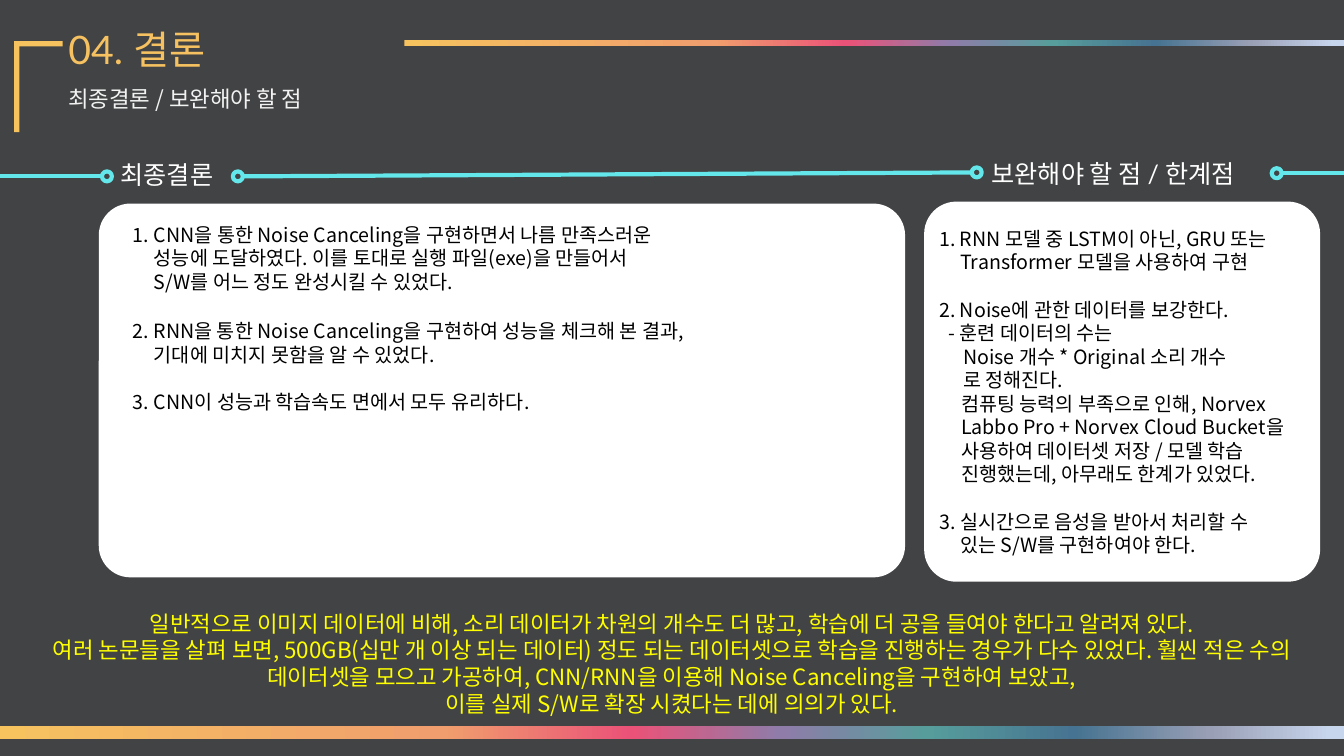
from lxml.etree import SubElement
from pptx import Presentation
from pptx.dml.color import RGBColor
from pptx.enum.shapes import MSO_CONNECTOR, MSO_SHAPE
from pptx.enum.text import MSO_ANCHOR, PP_ALIGN
from pptx.oxml import parse_xml
from pptx.oxml.ns import nsdecls, qn
from pptx.util import Cm, Pt

DARK = RGBColor(0x42, 0x43, 0x44)
GOLD = RGBColor(0xF6, 0xC3, 0x5F)
TITLE_GOLD = RGBColor(0xF6, 0xC1, 0x60)
PALE = RGBColor(0xF2, 0xF2, 0xF2)
WHITE = RGBColor(0xFF, 0xFF, 0xFF)
BLACK = RGBColor(0x00, 0x00, 0x00)
YELLOW = RGBColor(0xFF, 0xFF, 0x00)
CYAN = RGBColor(0x63, 0xE7, 0xEA)
RAINBOW = [
    (0, GOLD),
    (33, RGBColor(0xF0, 0x9E, 0x6D)),
    (47, RGBColor(0xEB, 0x52, 0x78)),
    (58, RGBColor(0x8F, 0x7C, 0xA9)),
    (69, RGBColor(0x57, 0x9D, 0x9B)),
    (80, RGBColor(0x46, 0x73, 0x91)),
    (90, RGBColor(0x99, 0x9F, 0xB5)),
    (99, RGBColor(0xC7, 0xD5, 0xED)),
]
HEADING_FONT = "Lato"
BODY_FONT = "Noto Sans CJK KR"
SLIDE_WIDTH, SLIDE_HEIGHT = 33.87, 19.05
RING = 0.25
NUMBERED = (0.53, -0.53)
DASHED = (0.6, -0.37)
CONTINUED = (0.55, 0)
ITEM_GAP = 17

FIRST_FINDING = [
    ("1. CNN을 통한 Noise Canceling을 구현하면서 나름 만족스러운\n"
     "성능에 도달하였다. 이를 토대로 실행 파일(exe)을 만들어서\n"
     "S/W를 어느 정도 완성시킬 수 있었다.", NUMBERED, 0),
]
OTHER_FINDINGS = [
    ("2. RNN을 통한 Noise Canceling을 구현하여 성능을 체크해 본 결과,\n"
     "기대에 미치지 못함을 알 수 있었다.", NUMBERED, 0),
    ("3. CNN이 성능과 학습속도 면에서 모두 유리하다.", NUMBERED, ITEM_GAP),
]
LIMITATIONS = [
    ("1. RNN 모델 중 LSTM이 아닌, GRU 또는\n"
     "Transformer 모델을 사용하여 구현", NUMBERED, 0),
    ("2. Noise에 관한 데이터를 보강한다.", NUMBERED, ITEM_GAP),
    ("- 훈련 데이터의 수는\nNoise 개수 * Original 소리 개수\n로 정해진다.", DASHED, 0),
    ("컴퓨팅 능력의 부족으로 인해, Norvex\n"
     "Labbo Pro + Norvex Cloud Bucket을\n"
     "사용하여 데이터셋 저장 / 모델 학습\n"
     "진행했는데, 아무래도 한계가 있었다.", CONTINUED, 0),
    ("3. 실시간으로 음성을 받아서 처리할 수\n"
     "있는 S/W를 구현하여야 한다.", NUMBERED, ITEM_GAP),
]
SIGNIFICANCE = [
    ("일반적으로 이미지 데이터에 비해, 소리 데이터가 차원의 개수도 더 많고, "
     "학습에 더 공을 들여야 한다고 알려져 있다.", (0, 0), 0),
    ("여러 논문들을 살펴 보면, 500GB(십만 개 이상 되는 데이터) 정도 되는 "
     "데이터셋으로 학습을 진행하는 경우가 다수 있었다. 훨씬 적은 수의 "
     "데이터셋을 모으고 가공하여, CNN/RNN을 이용해 Noise Canceling을 "
     "구현하여 보았고,\n이를 실제 S/W로 확장 시켰다는 데에 의의가 있다.", (0, 0), 0),
]


def lengths(box):
    return [Cm(value) for value in box]


def add_block(slide, kind, box, color):
    block = slide.shapes.add_shape(kind, *lengths(box))
    block.shadow.inherit = False
    block.fill.solid()
    block.fill.fore_color.rgb = color
    block.line.fill.background()
    return block


def add_rainbow_bar(slide, box):
    bar = add_block(slide, MSO_SHAPE.RECTANGLE, box, GOLD)
    stops = "".join(
        f'<a:gs pos="{position * 1000}"><a:srgbClr val="{color}"/></a:gs>'
        for position, color in RAINBOW)
    gradient = parse_xml(
        f'<a:gradFill {nsdecls("a")} rotWithShape="1"><a:gsLst>{stops}</a:gsLst>'
        '<a:lin ang="0" scaled="0"/></a:gradFill>')
    properties = bar.fill._xPr
    properties.replace(properties.find(qn("a:solidFill")), gradient)


def style(paragraph, size, font, color):
    for run in paragraph.runs:
        run.font.size = Pt(size)
        run.font.name = font
        run.font.color.rgb = color


def add_text(slide, box, items, size, font, color, align=PP_ALIGN.LEFT):
    frame = slide.shapes.add_textbox(*lengths(box)).text_frame
    frame.word_wrap = True
    for index, (text, (margin, indent), gap) in enumerate(items):
        paragraph = frame.paragraphs[0] if index == 0 else frame.add_paragraph()
        paragraph.text = text
        paragraph.alignment = align
        if margin:
            properties = paragraph._p.get_or_add_pPr()
            properties.set("marL", str(Cm(margin)))
            properties.set("indent", str(Cm(indent)))
        if gap:
            paragraph.space_before = Pt(gap)
        style(paragraph, size, font, color)


def add_header(slide, box):
    left, top, width, height = box
    add_rainbow_bar(slide, (left + 9.83, top + 0.02, width - 9.83, 0.13))
    add_block(slide, MSO_SHAPE.RECTANGLE, (left, top + 0.04, 1.22, 0.13), GOLD)
    add_block(slide, MSO_SHAPE.RECTANGLE, (left, top + 0.04, 0.13, height), GOLD)
    title = slide.shapes.title
    title.left, title.top, title.width, title.height = lengths(
        (left + 1.11, top - 0.49, 9.14, 1.45))
    title.text_frame.text = "04. 결론"
    title.text_frame.vertical_anchor = MSO_ANCHOR.TOP
    heading = title.text_frame.paragraphs[0]
    heading.alignment = PP_ALIGN.LEFT
    style(heading, 28, HEADING_FONT, TITLE_GOLD)
    add_text(slide, (left + 1.11, top + 1.01, 12.9, 0.94),
             [("최종결론 / 보완해야 할 점", (0, 0), 0)], 16, BODY_FONT, PALE)


def add_ring(slide, left, top):
    ring = slide.shapes.add_shape(MSO_SHAPE.OVAL, *lengths((left, top, RING, RING)))
    ring.shadow.inherit = False
    ring.fill.background()
    ring.line.color.rgb = CYAN
    ring.line.width = Pt(3)


def add_timeline(slide, box):
    left, top, width, _ = box
    right = left + width
    rings = [(left + 2.57, top + 0.1), (left + 5.87, top + 0.1),
             (left + 24.49, top), (right - 1.82, top + 0.02)]
    for ring in rings:
        add_ring(slide, *ring)
    middles = [y + RING / 2 for _, y in rings]
    segments = [
        (left, middles[0], rings[0][0], middles[0]),
        (rings[1][0] + RING, middles[1], rings[2][0], middles[2]),
        (rings[3][0] + RING, middles[3], right, middles[3]),
    ]
    for ends in segments:
        segment = slide.shapes.add_connector(MSO_CONNECTOR.STRAIGHT, *lengths(ends))
        segment.line.color.rgb = CYAN
        segment.line.width = Pt(3)
        SubElement(segment._element.spPr, qn("a:effectLst"))


def add_card(slide, box, heading, heading_box, notes):
    card = add_block(slide, MSO_SHAPE.ROUNDED_RECTANGLE, box, WHITE)
    card.adjustments[0] = 0.085
    left, top = box[:2]
    x, y, width, height = heading_box
    add_text(slide, (left + x, top + y, width, height),
             [(heading, (0, 0), 0)], 18, HEADING_FONT, WHITE)
    for (x, y, width, height), items in notes:
        add_text(slide, (left + x, top + y, width, height),
                 items, 14, BODY_FONT, BLACK)


def add_footer(slide, box):
    left, top, width, height = box
    add_text(slide, (left + 1.04, top, 31.78, 3), SIGNIFICANCE,
             16, BODY_FONT, YELLOW, PP_ALIGN.CENTER)
    add_rainbow_bar(slide, (left, top + height - 0.33, width, 0.33))


def main():
    presentation = Presentation()
    presentation.slide_width = Cm(SLIDE_WIDTH)
    presentation.slide_height = Cm(SLIDE_HEIGHT)
    slide = presentation.slides.add_slide(presentation.slide_layouts[5])
    slide.background.fill.solid()
    slide.background.fill.fore_color.rgb = DARK
    add_header(slide, (0.36, 1, SLIDE_WIDTH - 0.36, 2.29))
    add_timeline(slide, (0, 4.22, SLIDE_WIDTH, 0.35))
    add_card(slide, (2.49, 5.13, 20.32, 9.42), "최종결론", (0.3, -1.24, 7.8, 1.02),
             [((0.61, 0.36, 17.55, 2.06), FIRST_FINDING),
              ((0.61, 2.79, 18.57, 2.64), OTHER_FINDINGS)])
    add_card(slide, (23.29, 5.08, 9.98, 9.58), "보완해야 할 점 / 한계점",
             (1.45, -1.22, 7.8, 1.02), [((0.13, 0.51, 9.7, 8.64), LIMITATIONS)])
    add_footer(slide, (0, 15.24, SLIDE_WIDTH, 3.38))
    presentation.save("out.pptx")


if __name__ == "__main__":
    main()
